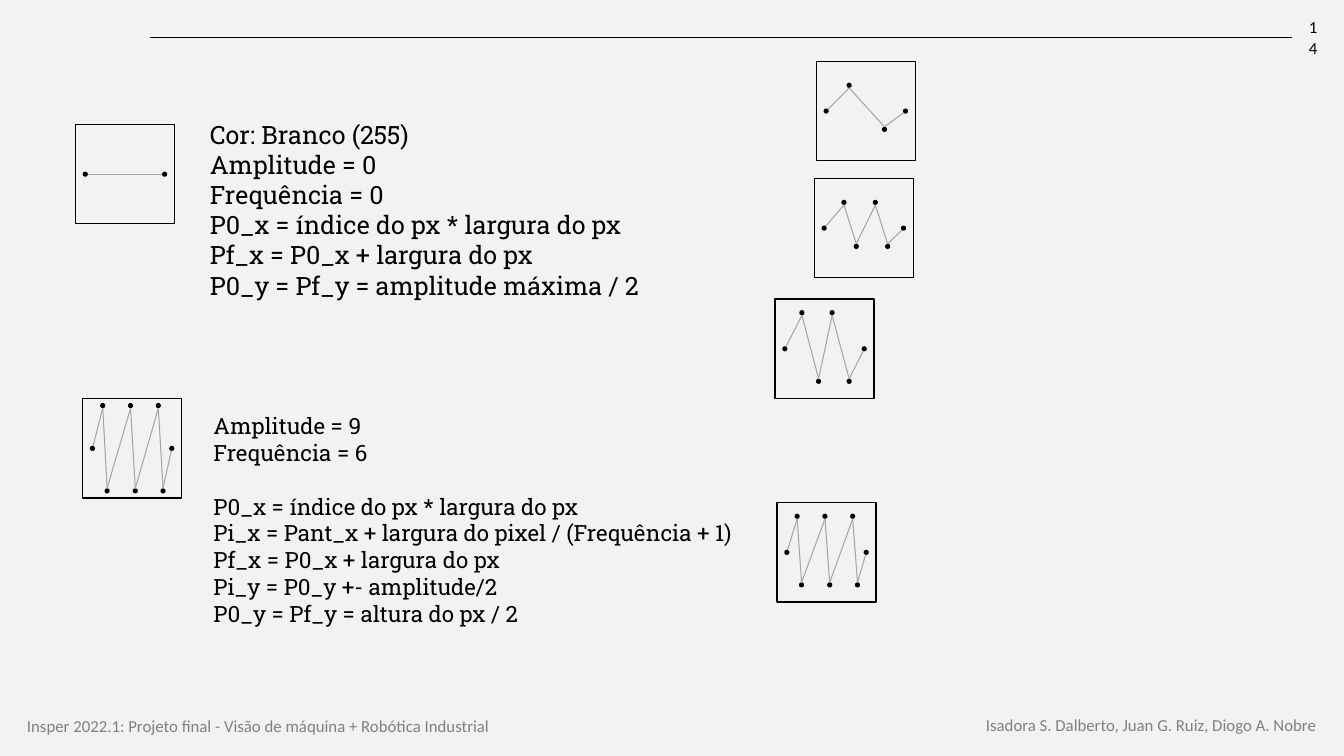
import math

import pptx
import pptx.dml.color
import pptx.enum.shapes
import pptx.enum.text
import pptx.oxml
import pptx.util
from pptx.util import Cm, Pt

RGBColor = pptx.dml.color.RGBColor
MSO_SHAPE = pptx.enum.shapes.MSO_SHAPE
MSO_CONNECTOR = pptx.enum.shapes.MSO_CONNECTOR
MSO_ANCHOR = pptx.enum.text.MSO_ANCHOR
MSO_AUTO_SIZE = pptx.enum.text.MSO_AUTO_SIZE
PP_ALIGN = pptx.enum.text.PP_ALIGN

BACKGROUND = RGBColor(0xF2, 0xF2, 0xF2)
BLACK = RGBColor(0, 0, 0)
FOOTER_GREY = RGBColor(0x80, 0x80, 0x80)
WAVE_GREY = RGBColor(0xA5, 0xA5, 0xA5)

# Lengths are in centimetres; boxes are left, top, width, height.
FOOTERS = [
    ("Insper 2022.1: Projeto final - Visão de máquina + Robótica Industrial",
     (0.43, 17.9, 13.92, 0.77), PP_ALIGN.LEFT),
    ("Isadora S. Dalberto, Juan G. Ruiz, Diogo A. Nobre",
     (23.65, 17.88, 9.78, 0.77), PP_ALIGN.RIGHT),
]
PAGE_NUMBER = ("14", (32.56, 0.43, 0.89, 1.02))

WHITE_PIXEL_RULES = [
    "Cor: Branco (255)",
    "Amplitude = 0",
    "Frequência = 0",
    "P0_x = índice do px * largura do px",
    "Pf_x = P0_x + largura do px",
    "P0_y = Pf_y = amplitude máxima / 2",
]
DARK_PIXEL_RULES = [
    "Amplitude = 9",
    "Frequência = 6",
    "P0_x = índice do px * largura do px",
    "Pi_x = Pant_x + largura do pixel / (Frequência + 1)",
    "Pf_x = P0_x + largura do px",
    "Pi_y = P0_y +- amplitude/2",
    "P0_y = Pf_y = altura do px / 2",
]
FIRST_FORMULA = 2

# Pixel left and top, x of the inner points, y of peaks, y of troughs
THREE_WAVES = [0.51, 0.62, 1.21, 1.33, 1.91, 2.03]
PIXELS = [
    (1.9, 3.14, [], 0, 0),
    (2.08, 10.05, THREE_WAVES, 0.17, 2.32),
    (20.57, 1.55, [0.83, 1.72], 0.6, 1.71),
    (20.52, 4.5, [0.75, 1.06, 1.54, 1.85], 0.6, 1.71),
    (19.53, 7.54, [0.68, 1.1, 1.44, 1.87], 0.34, 2.07),
    (19.58, 12.67, THREE_WAVES, 0.34, 2.07),
]
PIXEL_SIZE = 2.5
POINT_SIZE = 0.13
RADIUS = POINT_SIZE / 2
MARGIN = 0.25


def add_line(shapes, start, end, color, width):
    line = shapes.add_connector(
        MSO_CONNECTOR.STRAIGHT, *[Cm(length) for length in (*start, *end)])
    line.line.color.rgb = color
    line.line.width = Pt(width)
    line._element.spPr.append(pptx.oxml.parse_xml(
        '<a:effectLst xmlns:a='
        '"http://schemas.openxmlformats.org/drawingml/2006/main"/>'))


def add_text(slide, lines, box, font_name, size, color, align=PP_ALIGN.LEFT):
    frame = slide.shapes.add_textbox(*map(Cm, box)).text_frame
    frame.word_wrap = True
    frame.auto_size = MSO_AUTO_SIZE.SHAPE_TO_FIT_TEXT
    frame.text = "\n".join(lines)
    for paragraph in frame.paragraphs:
        paragraph.alignment = align
        paragraph.font.name = font_name
        paragraph.font.size = Pt(size)
        paragraph.font.color.rgb = color
    return frame


def wave_end(point, neighbour):
    """Return where the wave touches an outer point, facing its neighbour."""
    angle = math.atan2(neighbour[1] - point[1], neighbour[0] - point[0])
    return (point[0] + RADIUS * math.cos(angle),
            point[1] + RADIUS * math.sin(angle))


def add_pixel(slide, left, top, inner_x, peak_y, trough_y):
    """Draw a framed pixel whose wave alternates between peaks and troughs."""
    shapes = slide.shapes.add_group_shape().shapes
    frame = shapes.add_shape(MSO_SHAPE.RECTANGLE, Cm(left), Cm(top),
                             Cm(PIXEL_SIZE), Cm(PIXEL_SIZE))
    frame.shadow.inherit = False
    frame.fill.background()
    frame.line.color.rgb = BLACK
    frame.line.width = Pt(1)

    middle = top + PIXEL_SIZE / 2
    inner = [(left + x, top + (trough_y if index % 2 else peak_y))
             for index, x in enumerate(inner_x)]
    points = [(left + MARGIN, middle), *inner,
              (left + PIXEL_SIZE - MARGIN, middle)]
    for x, y in points:
        point = shapes.add_shape(MSO_SHAPE.OVAL, Cm(x - RADIUS), Cm(y - RADIUS),
                                 Cm(POINT_SIZE), Cm(POINT_SIZE))
        point.shadow.inherit = False
        point.fill.solid()
        point.fill.fore_color.rgb = BLACK
        point.line.fill.background()

    joints = [wave_end(points[0], points[1])]
    joints += [(x, y + math.copysign(RADIUS, middle - y)) for x, y in inner]
    joints.append(wave_end(points[-1], points[-2]))
    for start, end in zip(joints, joints[1:]):
        add_line(shapes, start, end, WAVE_GREY, 0.75)


def main():
    presentation = pptx.Presentation()
    presentation.slide_width = Cm(33.87)
    presentation.slide_height = Cm(19.05)
    slide = presentation.slides.add_slide(presentation.slide_layouts[6])
    slide.background.fill.solid()
    slide.background.fill.fore_color.rgb = BACKGROUND

    add_line(slide.shapes, (3.78, 0.94), (32.56, 0.94), BLACK, 0.5)
    for text, box, align in FOOTERS:
        add_text(slide, [text], box, "Calibri", 12, FOOTER_GREY, align)
    number, box = PAGE_NUMBER
    number_frame = add_text(slide, [number], box, "Calibri", 12, BLACK,
                            PP_ALIGN.RIGHT)
    number_frame.auto_size = MSO_AUTO_SIZE.NONE
    number_frame.vertical_anchor = MSO_ANCHOR.MIDDLE

    for pixel in PIXELS:
        add_pixel(slide, *pixel)

    add_text(slide, WHITE_PIXEL_RULES, (5.04, 2.87, 11.9, 4.88),
             "Roboto Slab", 18, BLACK)
    dark_frame = add_text(slide, DARK_PIXEL_RULES, (5.13, 10.26, 13.77, 5.74),
                          "Roboto Slab", 16, BLACK)
    dark_frame.paragraphs[FIRST_FORMULA].space_before = Pt(19.2)

    presentation.save("out.pptx")


if __name__ == "__main__":
    main()
